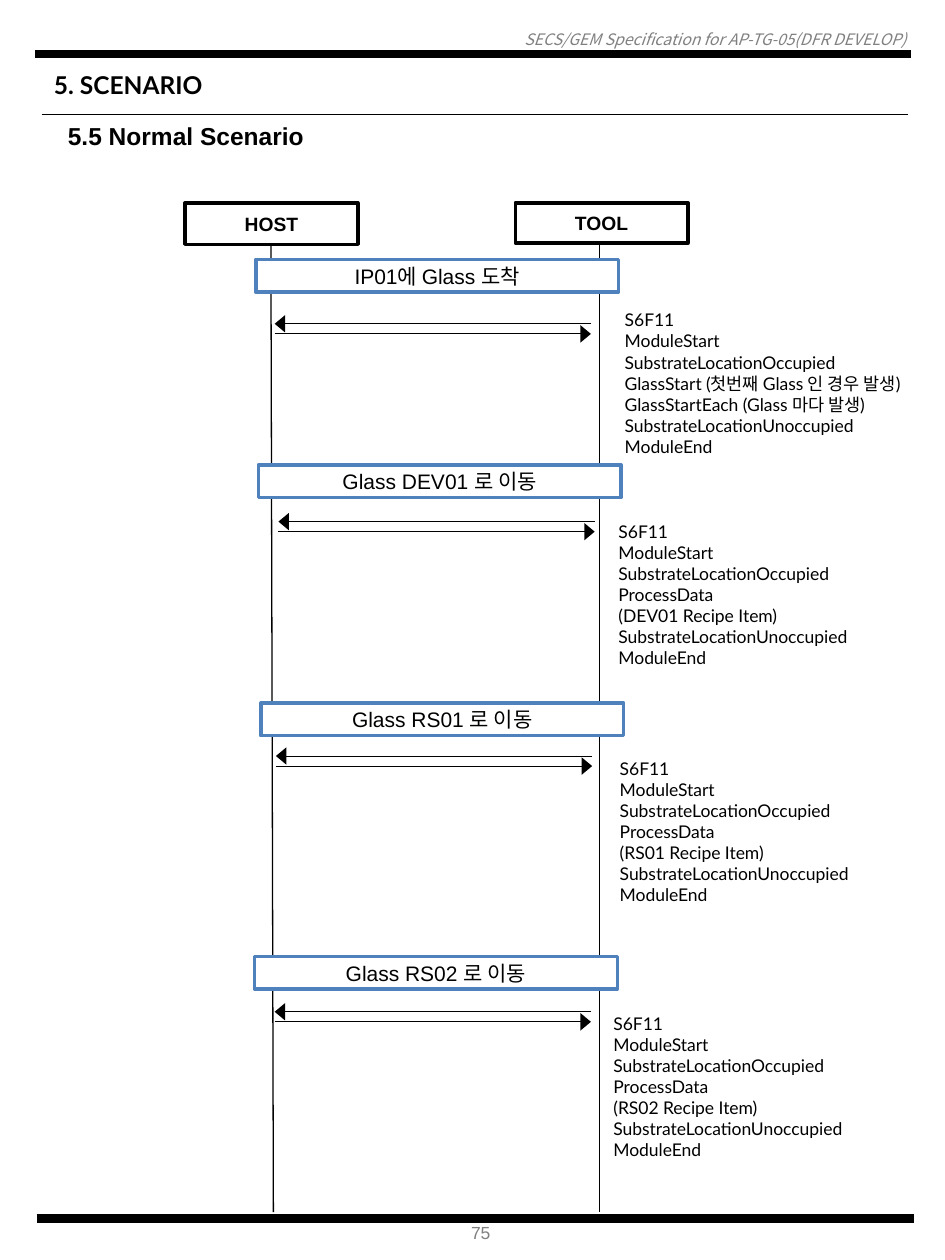
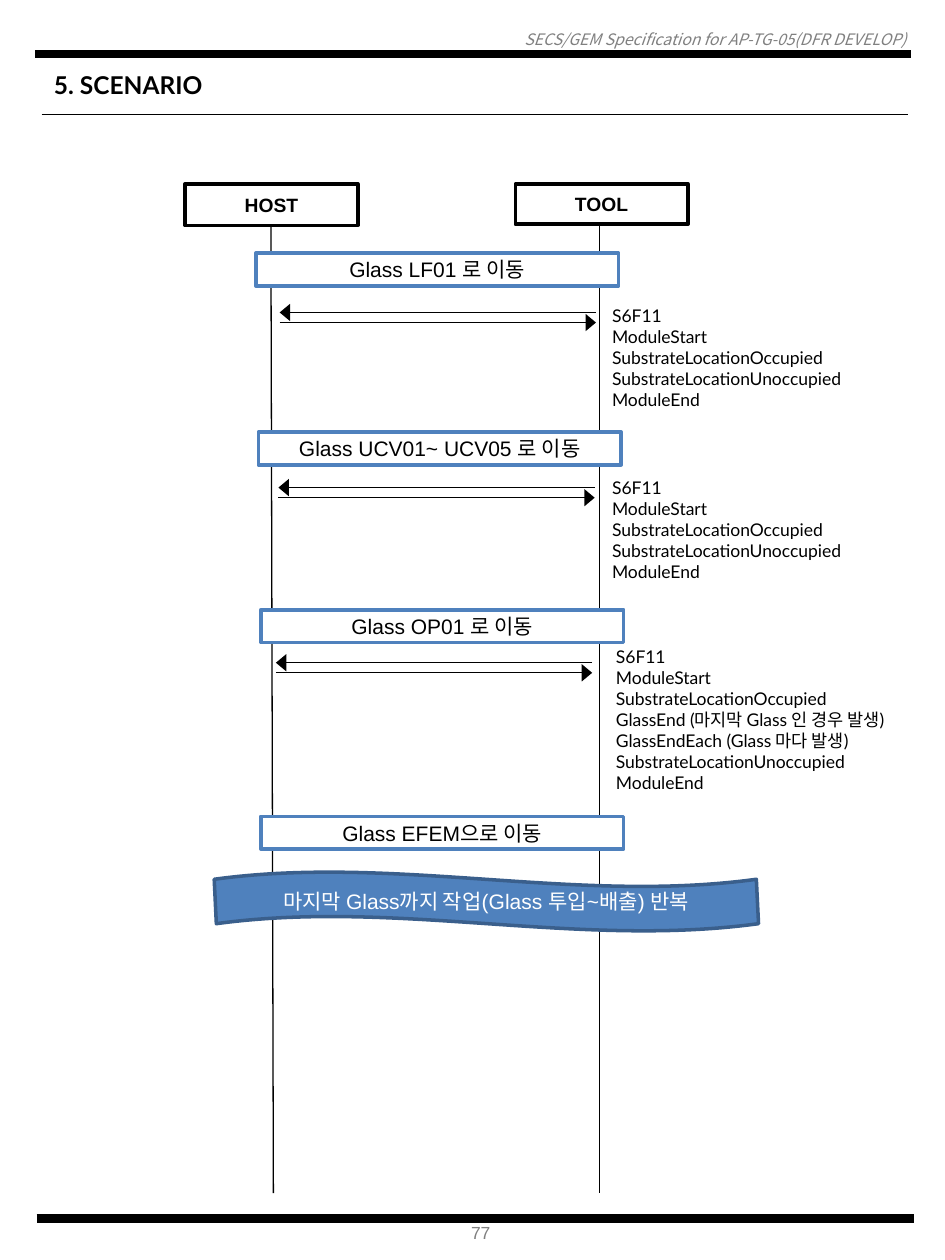
"""Build two SECS/GEM scenario pages with host and tool sequence diagrams."""
import lxml.etree
import pptx
import pptx.dml.color
import pptx.enum.shapes
import pptx.enum.text
import pptx.oxml.ns
import pptx.util

Inches = pptx.util.Inches
SHAPES = pptx.enum.shapes.MSO_SHAPE
ALIGN = pptx.enum.text.PP_ALIGN
ANCHOR = pptx.enum.text.MSO_ANCHOR
qn = pptx.oxml.ns.qn

COLORS = {
    "black": "000000",
    "white": "FFFFFF",
    "gray": "808080",
    "blue": "4F81BD",
    "dark blue": "3A5F8C",
}
ARROW_LENGTH = 2.51
ARROW_GAP = 0.08
EVENT_SIZE = (2.88, 0.26)
LIFELINE_BOTTOM = 8.01

start = ["S6F11", "ModuleStart", "SubstrateLocationOccupied"]
end = ["SubstrateLocationUnoccupied", "ModuleEnd"]
first_glass = ["GlassStart (첫번째 Glass 인 경우 발생)", "GlassStartEach (Glass 마다 발생)"]
last_glass = ["GlassEnd (마지막 Glass 인 경우 발생)", "GlassEndEach (Glass 마다 발생)"]

pages = [
    {
        "number": "75",
        "subtitle": "5.5 Normal Scenario",
        "diagram top": 1.61,
        "events": [
            ("IP01에 Glass 도착", 2.03, 2.06),
            ("Glass DEV01 로 이동", 2.05, 3.69),
            ("Glass RS01 로 이동", 2.07, 5.58),
            ("Glass RS02 로 이동", 2.02, 7.59),
        ],
        "exchanges": [(2.18, 2.57), (2.21, 4.14), (2.19, 6.0), (2.18, 8.03)],
        "messages": [
            ((4.86, 2.4, 2.6, 1.28), first_glass),
            ((4.81, 4.08, 2.05, 1.28), ["ProcessData", "(DEV01 Recipe Item)"]),
            ((4.82, 5.96, 2.02, 1.28), ["ProcessData", "(RS01 Recipe Item)"]),
            ((4.77, 7.98, 2.05, 1.28), ["ProcessData", "(RS02 Recipe Item)"]),
        ],
        "repeat": None,
    },
    {
        "number": "77",
        "subtitle": None,
        "diagram top": 1.46,
        "events": [
            ("Glass LF01 로 이동", 2.03, 2.01),
            ("Glass UCV01~ UCV05 로 이동", 2.05, 3.43),
            ("Glass OP01 로 이동", 2.07, 4.84),
            ("Glass EFEM으로 이동", 2.07, 6.48),
        ],
        "exchanges": [(2.22, 2.48), (2.21, 3.87), (2.19, 5.26)],
        "messages": [
            ((4.76, 2.37, 2.04, 0.94), []),
            ((4.76, 3.73, 2.04, 0.94), []),
            ((4.79, 5.07, 2.51, 1.28), last_glass),
        ],
        "repeat": "마지막 Glass까지 작업(Glass 투입~배출) 반복",
    },
]


def add_text(slide, box, lines, size, font="Arial", color="black", bold=False, italic=False,
             align=ALIGN.LEFT, anchor=ANCHOR.TOP, wrap=True, inset=True,
             preset=None, fill=None, outline=None):
    position = [Inches(value) for value in box]
    if preset is None:
        shape = slide.shapes.add_textbox(*position)
    else:
        shape = slide.shapes.add_shape(preset, *position)
        shape.shadow.inherit = False
        shape.line.color.rgb = pptx.dml.color.RGBColor.from_string(COLORS[outline])
        shape.line.width = pptx.util.Pt(2)
        if fill:
            shape.fill.solid()
            shape.fill.fore_color.rgb = pptx.dml.color.RGBColor.from_string(COLORS[fill])
        else:
            shape.fill.background()
    frame = shape.text_frame
    frame.text = "\n".join(lines)
    frame.word_wrap = wrap
    frame.vertical_anchor = anchor
    if preset is None:
        frame.auto_size = pptx.enum.text.MSO_AUTO_SIZE.SHAPE_TO_FIT_TEXT
    if not inset:
        frame.margin_left = frame.margin_right = frame.margin_top = frame.margin_bottom = 0
    for paragraph in frame.paragraphs:
        paragraph.alignment = align
        for run in paragraph.runs:
            run.font.name = font
            run.font.size = pptx.util.Pt(size)
            run.font.bold = bold
            run.font.italic = italic
            run.font.color.rgb = pptx.dml.color.RGBColor.from_string(COLORS[color])
    return shape


def add_line(slide, x1, y1, x2, y2, width, arrow=False):
    connector = slide.shapes.add_connector(
        pptx.enum.shapes.MSO_CONNECTOR.STRAIGHT, Inches(x1), Inches(y1), Inches(x2), Inches(y2))
    connector.line.color.rgb = pptx.dml.color.RGBColor.from_string(COLORS["black"])
    connector.line.width = pptx.util.Pt(width)
    if arrow:
        lxml.etree.SubElement(connector.line._get_or_add_ln(), qn("a:tailEnd"),
                              type="triangle", w="lg", len="med")
    lxml.etree.SubElement(connector._element.spPr, qn("a:effectLst"))


presentation = pptx.Presentation()
presentation.slide_width = Inches(7.5)
presentation.slide_height = Inches(10)

for page in pages:
    slide = presentation.slides.add_slide(presentation.slide_layouts[6])

    add_text(slide, (0.05, 0.24, 7.14, 0.15), ["SECS/GEM Specification for AP-TG-05(DFR DEVELOP)"], 9,
             font="Noto Sans CJK KR", color="gray", italic=True, align=ALIGN.RIGHT, inset=False)
    add_line(slide, 0.28, 0.43, 7.23, 0.43, 4.75)
    add_line(slide, 0.29, 9.67, 7.25, 9.67, 4.75)
    add_text(slide, (3.64, 9.65, 0.37, 0.27), [page["number"]], 10, color="gray", wrap=False)
    add_text(slide, (0.33, 0.51, 1.5, 0.34), ["5. SCENARIO"], 14, font="Lato", bold=True, wrap=False)
    add_line(slide, 0.33, 0.91, 7.21, 0.91, 0.75)
    if page["subtitle"]:
        add_text(slide, (0.44, 0.91, 2.09, 0.34), [page["subtitle"]], 14, bold=True, wrap=False)

    top = page["diagram top"]
    for name, left, height, line_top, line_bottom in [
            ("HOST", 1.47, 0.33, 2.15, 2.17), ("TOOL", 4.09, 0.32, 4.76, 4.76)]:
        add_text(slide, (left, top, 1.37, height), [name], 11, bold=True, align=ALIGN.CENTER,
                 anchor=ANCHOR.MIDDLE, preset=SHAPES.RECTANGLE, outline="black")
        add_line(slide, line_top, top + height, line_bottom, top + LIFELINE_BOTTOM, 0.75)

    for event, left, event_top in page["events"]:
        add_text(slide, (left, event_top, *EVENT_SIZE), [event], 12, align=ALIGN.CENTER,
                 anchor=ANCHOR.MIDDLE, inset=False, preset=SHAPES.RECTANGLE,
                 fill="white", outline="blue")

    for left, y in page["exchanges"]:
        right = left + ARROW_LENGTH
        add_line(slide, right, y, left, y, 0.5, arrow=True)
        add_line(slide, left, y + ARROW_GAP, right, y + ARROW_GAP, 0.5, arrow=True)

    for box, details in page["messages"]:
        add_text(slide, box, start + details + end, 10, font="Lato", anchor=ANCHOR.MIDDLE)

    if page["repeat"]:
        wave = add_text(slide, (1.7, 6.92, 4.32, 0.47), [page["repeat"]], 12, color="white",
                        align=ALIGN.CENTER, anchor=ANCHOR.MIDDLE, preset=SHAPES.WAVE,
                        fill="blue", outline="dark blue")
        wave.adjustments[0] = 0.125
        wave.adjustments[1] = 0.002

presentation.save("out.pptx")
